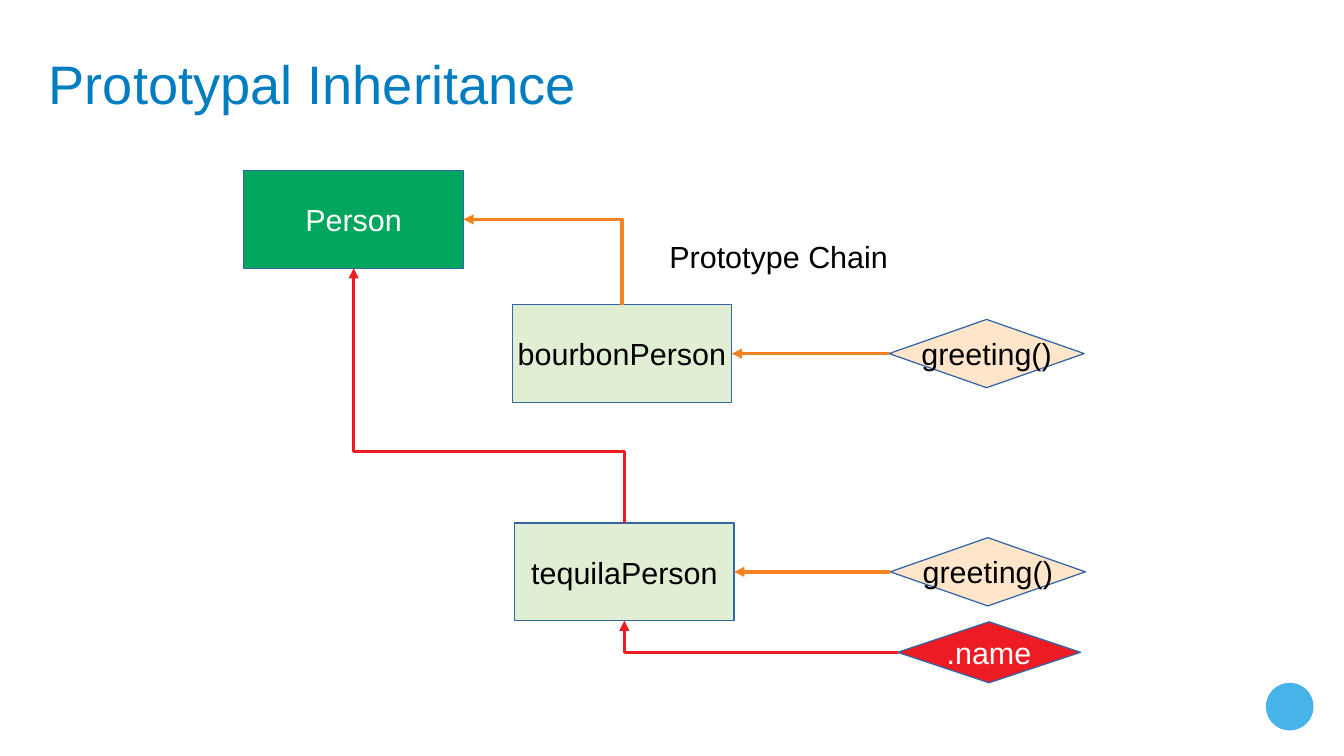
from dataclasses import dataclass

from lxml import etree
from pptx import Presentation, util as u
from pptx.dml.color import RGBColor
from pptx.enum import shapes, text
from pptx.oxml.ns import qn

CELL = u.Inches(0.1)
COLUMNS, ROWS = 110.2, 62
TOP, LEFT, BOTTOM, RIGHT = range(4)
FONT = "Arial"
COLORS = {
    "title": "007DC1",
    "badge": "46B3E9",
    "base": "00A65D",
    "derived": "E0EFD4",
    "method": "FFE5CA",
    "property": "ED1C24",
    "outline": "3465A4",
    "chain": "F58220",
    "light": "FFFFFF",
    "dark": "000000",
}


@dataclass
class Node:
    label: str
    column: float
    row: float
    columns: float
    rows: float
    fill: str
    font: str = "dark"
    form: int = shapes.MSO_SHAPE.RECTANGLE


@dataclass
class Link:
    source: str
    source_side: int
    target: str
    target_side: int
    color: str
    bend: float | None = None


DIAMOND = shapes.MSO_SHAPE.DIAMOND
NODES = {
    "person": Node("Person", 20, 14, 18, 8, "base", "light"),
    "bourbon": Node("bourbonPerson", 42, 25, 18, 8, "derived"),
    "tequila": Node("tequilaPerson", 42.2, 42.9, 18, 8, "derived"),
    "bourbon greeting": Node("greeting()", 72.9, 26.2, 16, 5.6, "method", form=DIAMOND),
    "tequila greeting": Node("greeting()", 73, 44.1, 16, 5.6, "method", form=DIAMOND),
    "tequila name": Node(".name", 73.6, 51, 15, 5, "property", "light", DIAMOND),
}
LINKS = [
    Link("bourbon greeting", LEFT, "bourbon", RIGHT, "chain"),
    Link("bourbon", TOP, "person", RIGHT, "chain"),
    Link("tequila greeting", LEFT, "tequila", RIGHT, "chain"),
    Link("tequila name", LEFT, "tequila", BOTTOM, "property"),
    Link("tequila", TOP, "person", BOTTOM, "property", 0.28),
]


def color(name: str) -> RGBColor:
    return RGBColor.from_string(COLORS[name])


def cells(*counts: float) -> list[int]:
    return [round(count * CELL) for count in counts]


def write(shape, label: str, size: int, font: str):
    shape.text_frame.text = label
    paragraph = shape.text_frame.paragraphs[0]
    paragraph.font.name = FONT
    paragraph.font.size = u.Pt(size)
    paragraph.font.color.rgb = color(font)
    return paragraph


def add_title(slide, label: str) -> None:
    title = slide.shapes.title
    title.left, title.top, title.width, title.height = cells(3, 3.9, 67.9, 6.1)
    frame = title.text_frame
    frame.auto_size = text.MSO_AUTO_SIZE.NONE
    frame.vertical_anchor = text.MSO_ANCHOR.BOTTOM
    frame.margin_right = 0
    paragraph = write(title, label, 32, "title")
    paragraph.alignment = text.PP_ALIGN.LEFT
    paragraph.line_spacing = 0.9


def add_badge(slide) -> None:
    badge = slide.shapes.add_shape(shapes.MSO_SHAPE.OVAL, *cells(103.8, 56, 3.9, 3.9))
    badge.shadow.inherit = False
    badge.fill.solid()
    badge.fill.fore_color.rgb = color("badge")
    badge.line.fill.background()


def add_node(slide, node: Node):
    shape = slide.shapes.add_shape(
        node.form, *cells(node.column, node.row, node.columns, node.rows)
    )
    shape.shadow.inherit = False
    shape.fill.solid()
    shape.fill.fore_color.rgb = color(node.fill)
    shape.line.color.rgb = color("outline")
    shape.line.width = u.Pt(0)
    shape.text_frame.word_wrap = False
    shape.text_frame.vertical_anchor = text.MSO_ANCHOR.MIDDLE
    write(shape, node.label, 18, node.font).alignment = text.PP_ALIGN.CENTER
    return shape


def bend_connector(connector, link: Link) -> None:
    across = abs(connector.end_x - connector.begin_x)
    down = abs(connector.end_y - connector.begin_y)
    center_x = (connector.begin_x + connector.end_x) // 2
    center_y = (connector.begin_y + connector.end_y) // 2
    upright = link.source_side == TOP
    width, height = (down, across) if upright else (across, down)
    connector.left, connector.top = center_x - width // 2, center_y - height // 2
    connector.width, connector.height = width, height
    properties = connector.element.spPr
    frame = properties.find(qn("a:xfrm"))
    frame.set("rot", str((270 if upright else 180) * 60000))
    frame.set("flipH", "0")
    frame.set("flipV", "1" if upright else "0")
    geometry = properties.find(qn("a:prstGeom"))
    if link.bend is None:
        geometry.set("prst", "bentConnector2")
    else:
        guides = geometry.find(qn("a:avLst"))
        if guides is None:
            guides = etree.SubElement(geometry, qn("a:avLst"))
        formula = f"val {round(link.bend * 100000)}"
        etree.SubElement(guides, qn("a:gd"), name="adj1", fmla=formula)


def add_link(slide, link: Link, nodes: dict) -> None:
    straight = (link.source_side, link.target_side) == (LEFT, RIGHT)
    kind = shapes.MSO_CONNECTOR.STRAIGHT if straight else shapes.MSO_CONNECTOR.ELBOW
    connector = slide.shapes.add_connector(kind, 0, 0, 0, 0)
    connector.begin_connect(nodes[link.source], link.source_side)
    connector.end_connect(nodes[link.target], link.target_side)
    if not straight:
        bend_connector(connector, link)
    connector.line.color.rgb = color(link.color)
    connector.line.width = u.Pt(0)
    properties = connector.element.spPr
    etree.SubElement(properties.find(qn("a:ln")), qn("a:tailEnd"), type="triangle")
    etree.SubElement(properties, qn("a:effectLst"))


def add_caption(slide, label: str) -> None:
    caption = slide.shapes.add_textbox(*cells(53.9, 19, 19.9, 3.8))
    caption.text_frame.word_wrap = False
    caption.text_frame.auto_size = text.MSO_AUTO_SIZE.SHAPE_TO_FIT_TEXT
    write(caption, label, 18, "dark")


def main() -> None:
    presentation = Presentation()
    presentation.slide_width, presentation.slide_height = cells(COLUMNS, ROWS)
    slide = presentation.slides.add_slide(presentation.slide_layouts[5])
    add_badge(slide)
    add_title(slide, "Prototypal Inheritance")
    nodes = {key: add_node(slide, node) for key, node in NODES.items()}
    add_caption(slide, "Prototype Chain")
    for link in LINKS:
        add_link(slide, link, nodes)
    presentation.save("out.pptx")


if __name__ == "__main__":
    main()
